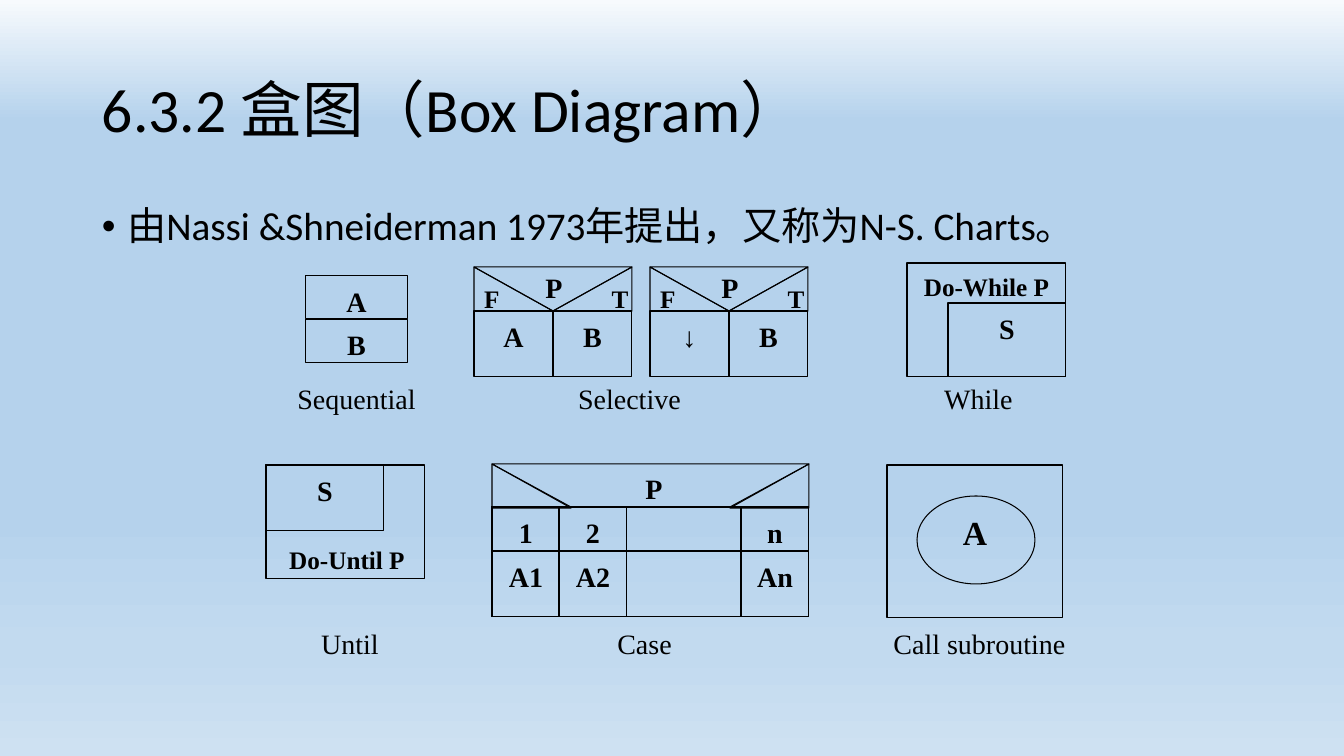
from lxml import etree
from pptx import Presentation
from pptx import util as u
from pptx.dml.color import RGBColor
from pptx.enum import shapes, text
from pptx.oxml.ns import qn

PX = 12192000 / 1344
TIGHT, ROOMY, CAPTION = (2, 8, 2, 1), (10, 8, 10, 5), (0, 8, 0, 1)
KIND = shapes.MSO_SHAPE


def px(length):
    """Turn pixels into EMU."""
    return u.Emu(round(length * PX))


def color(hex_code):
    """Turn a hex string into a colour."""
    return RGBColor.from_string(hex_code)


def write(shape, words, size=20, font="Times New Roman", bold=True, ink="000000",
          align="CENTER", anchor="TOP", insets=TIGHT, spacing=None, bullet=None):
    """Put one formatted paragraph into a shape."""
    frame = shape.text_frame
    frame.word_wrap = True
    frame.auto_size = text.MSO_AUTO_SIZE.NONE
    frame.vertical_anchor = getattr(text.MSO_ANCHOR, anchor)
    frame.margin_left, frame.margin_top, frame.margin_right, frame.margin_bottom = map(px, insets)
    frame.text = words
    line = frame.paragraphs[0]
    line.alignment = getattr(text.PP_ALIGN, align)
    if spacing:
        line.line_spacing = spacing
    if bullet:
        props = line._p.get_or_add_pPr()
        props.set("marL", str(u.Inches(0.25)))
        props.set("indent", str(-u.Inches(0.25)))
        etree.SubElement(props, qn("a:buFont"), typeface="Arial")
        etree.SubElement(props, qn("a:buChar"), char=bullet)
    style = line.runs[0].font
    style.size, style.name, style.bold = u.Pt(size), font, bold
    style.color.rgb = color(ink)


class BoxDiagramSlide:
    """A slide of box diagrams drawn in thin outlines."""

    def __init__(self, deck, ink="000000", weight=0.75):
        """Add a title-only slide."""
        self.ink, self.weight = ink, weight
        self.slide = deck.slides.add_slide(deck.slide_layouts[5])
        self.diagram = self.slide.shapes

    def background(self, stops):
        """Fill the background with a vertical gradient."""
        fill = self.slide.background.fill
        fill.gradient()
        fill.gradient_angle = 270
        stop_list = self.slide.element.find(".//" + qn("a:gsLst"))
        stop_list.clear()
        for percent, tint in stops:
            stop = etree.SubElement(stop_list, qn("a:gs"), pos=str(percent * 1000))
            etree.SubElement(stop, qn("a:srgbClr"), val=tint)

    def title(self, words, x, y, w, h, **style):
        """Place and format the title."""
        heading = self.slide.shapes.title
        heading.left, heading.top, heading.width, heading.height = map(px, (x, y, w, h))
        write(heading, words, **style)

    def group(self):
        """Start a new group for the next diagram."""
        self.diagram = self.slide.shapes.add_group_shape().shapes

    def outline(self, shape):
        """Give a shape a thin line and no fill."""
        shape.shadow.inherit = False
        shape.fill.background()
        shape.line.color.rgb = color(self.ink)
        shape.line.width = u.Pt(self.weight)

    def box(self, x, y, w, h, words=None, kind=KIND.RECTANGLE, flip=None, **style):
        """Add an outlined preset shape."""
        shape = self.diagram.add_shape(kind, *map(px, (x, y, w, h)))
        self.outline(shape)
        if flip:
            shape.element.spPr.find(qn("a:xfrm")).set(flip, "1")
        if words:
            write(shape, words, **style)

    def polygon(self, points):
        """Add an outlined closed polygon."""
        builder = self.diagram.build_freeform(*points[0], scale=PX)
        builder.add_line_segments(points[1:], close=True)
        self.outline(builder.convert_to_shape())

    def label(self, x, y, w, h, words, **style):
        """Add bare text to the current diagram."""
        write(self.diagram.add_textbox(*map(px, (x, y, w, h))), words, **style)

    def corners(self, x, y, w):
        """Add the two right triangles of a decision header."""
        self.box(x, y, 79, 44, kind=KIND.RIGHT_TRIANGLE)
        self.box(x + w - 79, y, 79, 44, kind=KIND.RIGHT_TRIANGLE, flip="flipH")

    def selective(self, x, y, branches):
        """Add a two-way selection diagram."""
        self.group()
        self.box(x, y, 158, 44, kind=KIND.ISOSCELES_TRIANGLE, flip="flipV")
        self.corners(x, y, 158)
        for words, dx, dy, size in (("P", 59, -4, 20), ("F", -3, 8, 18), ("T", 125, 8, 18)):
            self.label(x + dx, y + dy, 42, 47, words, size=size)
        for column, branch in enumerate(branches):
            self.box(x + 79 * column, y + 44, 79, 66, branch, insets=ROOMY)

    def case(self, x, y, w):
        """Add a multi-way selection diagram."""
        self.group()
        self.label(x + 141, y, 42, 47, "P")
        self.polygon([(x, y), (x + 79, y + 43), (x + w - 79, y + 43), (x + w, y)])
        self.corners(x, y, w)
        rows = ((y + 43, 44, ("1", "2", "n")), (y + 87, 66, ("A1", "A2", "An")))
        for top, height, entries in rows:
            self.box(x, top, w, height)
            for left, entry in zip((x, x + 67, x + w - 68), entries):
                self.box(left, top, 68, height, entry)


def main():
    """Build and save the slide."""
    deck = Presentation()
    deck.slide_width, deck.slide_height = px(1344), px(756)
    page = BoxDiagramSlide(deck)
    page.background([(0, "F7FAFD"), (16, "B5D2EC"), (71, "B8D4ED"),
                     (86, "C2DAEF"), (100, "CEE1F2")])
    prose = dict(font="Calibri", bold=False, align="LEFT", insets=(10, 5, 10, 5), spacing=0.9)
    page.title("6.3.2 盒图（Box Diagram）", 92, 40, 1159, 146, size=44, anchor="MIDDLE", **prose)
    page.label(92, 202, 1159, 480, "由Nassi &Shneiderman 1973年提出，又称为N-S. Charts。",
               size=28, bullet="•", **prose)

    captions = (("Sequential", 285, 374, 143), ("Selective", 558, 374, 143),
                ("While", 907, 374, 143), ("Until", 269, 618, 162),
                ("Case", 564, 618, 161), ("Call subroutine", 887, 618, 185))
    for caption, x, y, w in captions:
        page.label(x, y, w, 43, caption, bold=False, insets=CAPTION)

    page.group()
    for row, step in enumerate("AB"):
        page.box(305, 276 + 44 * row, 103, 43, step)

    page.selective(474, 267, "AB")
    page.selective(650, 267, "↓B")

    page.group()
    page.box(907, 263, 159, 114)
    page.label(907, 263, 159, 43, "Do-While P", size=18)
    page.box(948, 303, 118, 74, "S", insets=ROOMY)

    page.group()
    page.box(266, 465, 159, 114)
    page.label(266, 536, 162, 43, "Do-Until P", size=18)
    page.box(266, 465, 118, 66, "S", insets=ROOMY)

    page.case(492, 464, 317)

    page.group()
    page.box(887, 465, 176, 153)
    page.box(917, 496, 118, 88, kind=KIND.OVAL)
    page.label(936, 504, 78, 54, "A", size=24, insets=ROOMY)

    deck.save("out.pptx")


if __name__ == "__main__":
    main()
